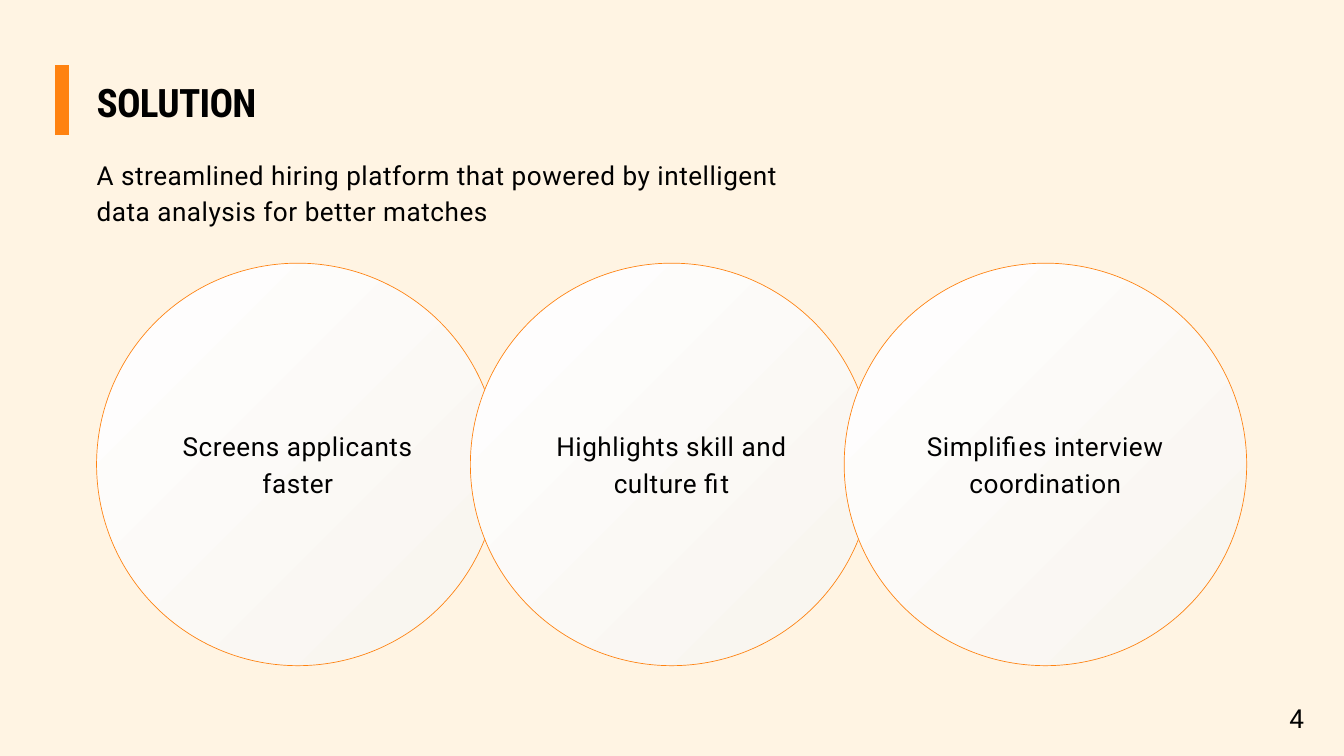
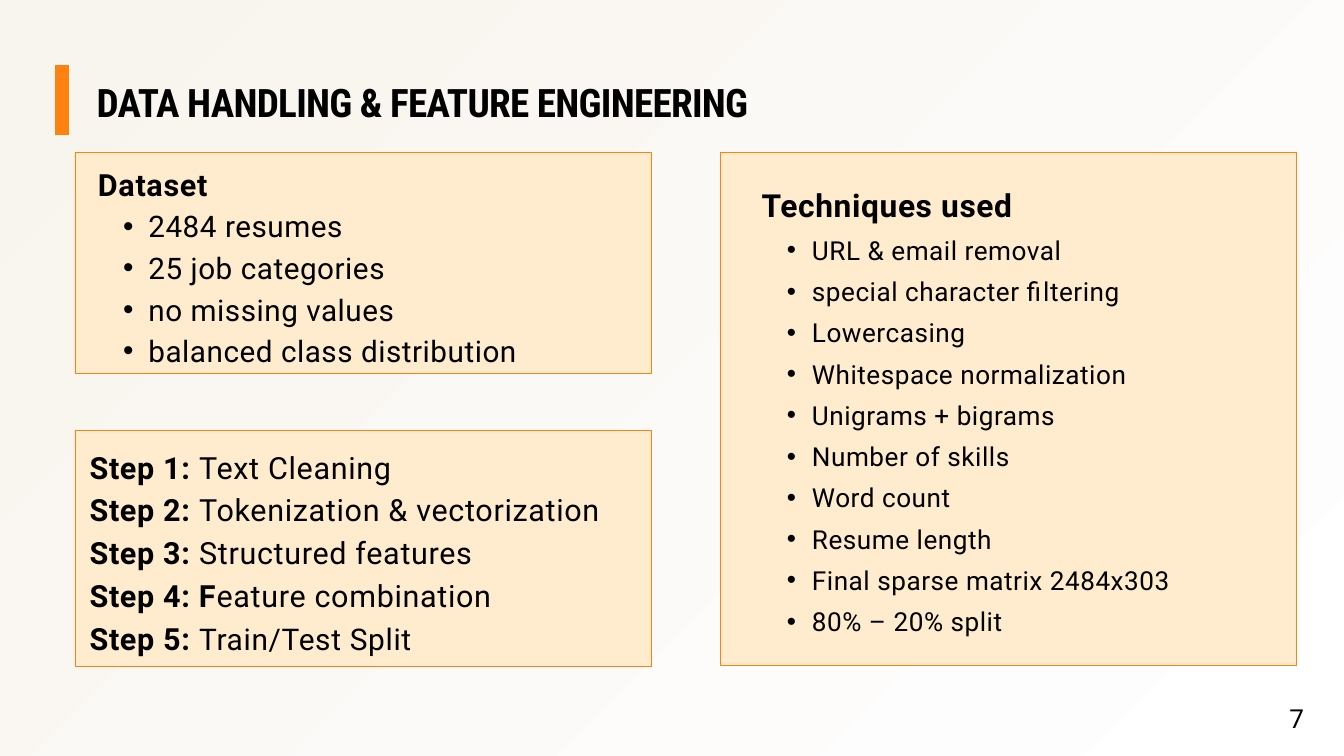
from lxml import etree
from pptx import Presentation
from pptx.dml.color import RGBColor
from pptx.enum.shapes import MSO_CONNECTOR, MSO_SHAPE
from pptx.enum.text import MSO_ANCHOR, PP_ALIGN
from pptx.oxml.ns import qn
from pptx.util import Pt

LEFT, CENTER = PP_ALIGN.LEFT, PP_ALIGN.CENTER
RIGHT, JUSTIFY = PP_ALIGN.RIGHT, PP_ALIGN.JUSTIFY
TOP = MSO_ANCHOR.TOP
OVAL, RECTANGLE = MSO_SHAPE.OVAL, MSO_SHAPE.RECTANGLE
STRAIGHT = MSO_CONNECTOR.STRAIGHT

EMU_PER_PX = 9525
SLIDE_W, SLIDE_H = 1920, 1080
TITLE_ONLY = 5

ORANGE, CREAM, PEACH = "FF8210", "FFF4E3", "FFEBCD"
WHITE, IVORY, BLACK = "FFFFFF", "F8F4EE", "000000"
BODY_FONT, TITLE_FONT = "Roboto", "Roboto Condensed"
MARGIN = 138


def px(length):
    return length * EMU_PER_PX


def box_emu(*box):
    return [px(length) for length in box]


def color(hex_code):
    return RGBColor.from_string(hex_code)


def diagonal_gradient(fill, start, end):
    fill.gradient()
    fill.gradient_angle = 315
    for stop, hex_code, position in zip(fill.gradient_stops, (start, end), (0, 1)):
        stop.color.rgb = color(hex_code)
        stop.position = position


def format_run(run, size, bold=False, font=BODY_FONT, tracking=0.6):
    run.font.name = font
    run.font.size = Pt(size)
    run.font.bold = bold
    run.font.color.rgb = color(BLACK)
    run.font._element.set("spc", str(round(tracking * 100)))


def format_paragraph(paragraph, size, leading, align=LEFT, **run_format):
    paragraph.alignment = align
    paragraph.line_spacing = Pt(leading)
    paragraph.space_before = paragraph.space_after = Pt(0)
    for run in paragraph.runs:
        format_run(run, size, **run_format)


def plain_frame(frame):
    frame.margin_left = frame.margin_right = 0
    frame.margin_top = frame.margin_bottom = 0
    frame.vertical_anchor = TOP
    frame.word_wrap = True
    return frame


def add_text_frame(slide, *box):
    return plain_frame(slide.shapes.add_textbox(*box_emu(*box)).text_frame)


def add_body_text(slide, text, box, align=LEFT):
    frame = add_text_frame(slide, *box)
    frame.text = text
    format_paragraph(frame.paragraphs[0], 28, 39.2, align)


def add_outlined(slide, outline, *box):
    shape = slide.shapes.add_shape(outline, *box_emu(*box))
    shape.shadow.inherit = False
    shape.line.color.rgb = color(ORANGE)
    shape.line.width = Pt(0.75)
    return shape


def add_bullet(paragraph):
    paragraph.level = 1
    properties = paragraph._p.get_or_add_pPr()
    properties.set("marL", str(px(72)))
    properties.set("indent", str(px(-36)))
    etree.SubElement(properties, qn("a:buFont")).set("typeface", "Arial")
    etree.SubElement(properties, qn("a:buChar")).set("char", "•")


# Parts every slide shares: accent bar, title, page number
def add_titled_slide(prs, title_text, page_number):
    slide = prs.slides.add_slide(prs.slide_layouts[TITLE_ONLY])

    accent = slide.shapes.add_connector(STRAIGHT, *box_emu(89, 193, 89, 93))
    accent.line.color.rgb = color(ORANGE)
    accent.line.width = Pt(15)
    etree.SubElement(accent._element.spPr, qn("a:effectLst"))

    title = slide.shapes.title
    title.left, title.top, title.width, title.height = box_emu(MARGIN, 101, 963, 74)
    frame = plain_frame(title.text_frame)
    frame.text = title_text
    format_paragraph(frame.paragraphs[0], 42, 58.8,
                     bold=True, font=TITLE_FONT, tracking=-0.8)

    add_body_text(slide, str(page_number), (1776, 996, 87, 48), RIGHT)
    return slide


# Row of overlapping circles, each with a centred benefit
def add_benefit_circles(slide, benefits, left, top, diameter, pitch):
    label_w, label_h = 417, 104
    for index, benefit in enumerate(benefits):
        x = left + index * pitch
        circle = add_outlined(slide, OVAL, x, top, diameter, diameter)
        diagonal_gradient(circle.fill, WHITE, IVORY)
        label_box = (x + (diameter - label_w) // 2, top + 232, label_w, label_h)
        add_body_text(slide, benefit, label_box, CENTER)


# Peach card; the inset is the text's left, top, width and height within it
def add_card(slide, box, inset):
    card = add_outlined(slide, RECTANGLE, *box)
    card.fill.solid()
    card.fill.fore_color.rgb = color(PEACH)
    return add_text_frame(slide, box[0] + inset[0], box[1] + inset[1], *inset[2:])


def add_list_card(slide, box, inset, heading, items, heading_type, item_type, align):
    frame = add_card(slide, box, inset)
    frame.text = "\n".join([heading, *items])
    heading_line, *item_lines = frame.paragraphs
    format_paragraph(heading_line, *heading_type, align, bold=True, tracking=0.7)
    for item_line in item_lines:
        format_paragraph(item_line, *item_type, align)
        add_bullet(item_line)


def add_steps_card(slide, box, inset, steps):
    frame = add_card(slide, box, inset)
    for index, step in enumerate(steps):
        line = frame.paragraphs[0] if index == 0 else frame.add_paragraph()
        for text in step:
            line.add_run().text = text
        format_paragraph(line, 32.7, 45.8, JUSTIFY, tracking=0.7)
        line.runs[0].font.bold = True
    frame.paragraphs[-1].runs[-1].font.size = Pt(32)


def build_solution(prs):
    slide = add_titled_slide(prs, "SOLUTION", 4)
    slide.background.fill.solid()
    slide.background.fill.fore_color.rgb = color(CREAM)
    add_body_text(
        slide,
        "A streamlined hiring platform that powered by intelligent "
        "data analysis for better matches",
        (MARGIN, 220, 1003, 104))
    benefits = ["Screens applicants faster", "Highlights skill and culture fit",
                "Simplifies interview coordination"]
    add_benefit_circles(slide, benefits, MARGIN, 376, 575, 534)


def build_data_handling(prs):
    slide = add_titled_slide(prs, "DATA HANDLING & FEATURE ENGINEERING", 7)
    diagonal_gradient(slide.background.fill, IVORY, WHITE)
    left, right, top, card_w = 107, 1029, 218, 823

    add_list_card(
        slide, (left, top, card_w, 315), (33, 10, 646, 295), "Dataset",
        ["2484 resumes", "25 job categories", "no missing values",
         "balanced class distribution"],
        (32.7, 45.8), (31.8, 44.5), JUSTIFY)

    add_list_card(
        slide, (right, top, card_w, 732), (59, 39, 680, 715), "Techniques used",
        ["URL & email removal", "special character filtering", "Lowercasing",
         "Whitespace normalization", "Unigrams + bigrams", "Number of skills",
         "Word count", "Resume length", "Final sparse matrix 2484x303",
         "80% – 20% split"],
        (34, 47.6), (28, 44.2), LEFT)

    add_steps_card(
        slide, (left, 615, card_w, 337), (21, 17, card_w, 304),
        [("Step 1: ", "Text Cleaning"),
         ("Step 2: ", "Tokenization & vectorization"),
         ("Step 3: ", "Structured features"),
         ("Step 4: F", "eature combination"),
         ("Step 5: ", "Train/Test Split")])


def main():
    prs = Presentation()
    prs.slide_width, prs.slide_height = px(SLIDE_W), px(SLIDE_H)
    build_solution(prs)
    build_data_handling(prs)
    prs.save("out.pptx")


if __name__ == "__main__":
    main()
